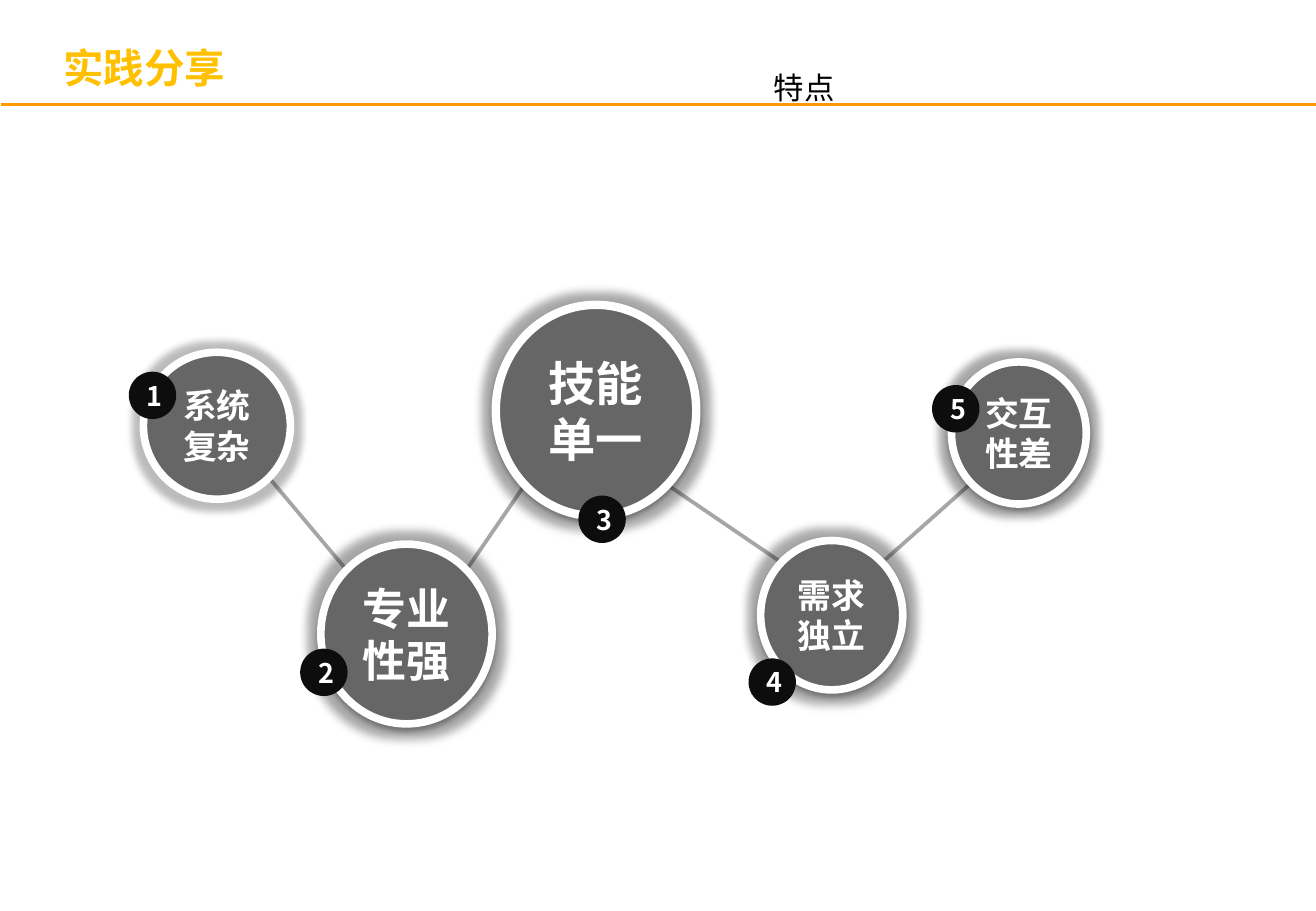
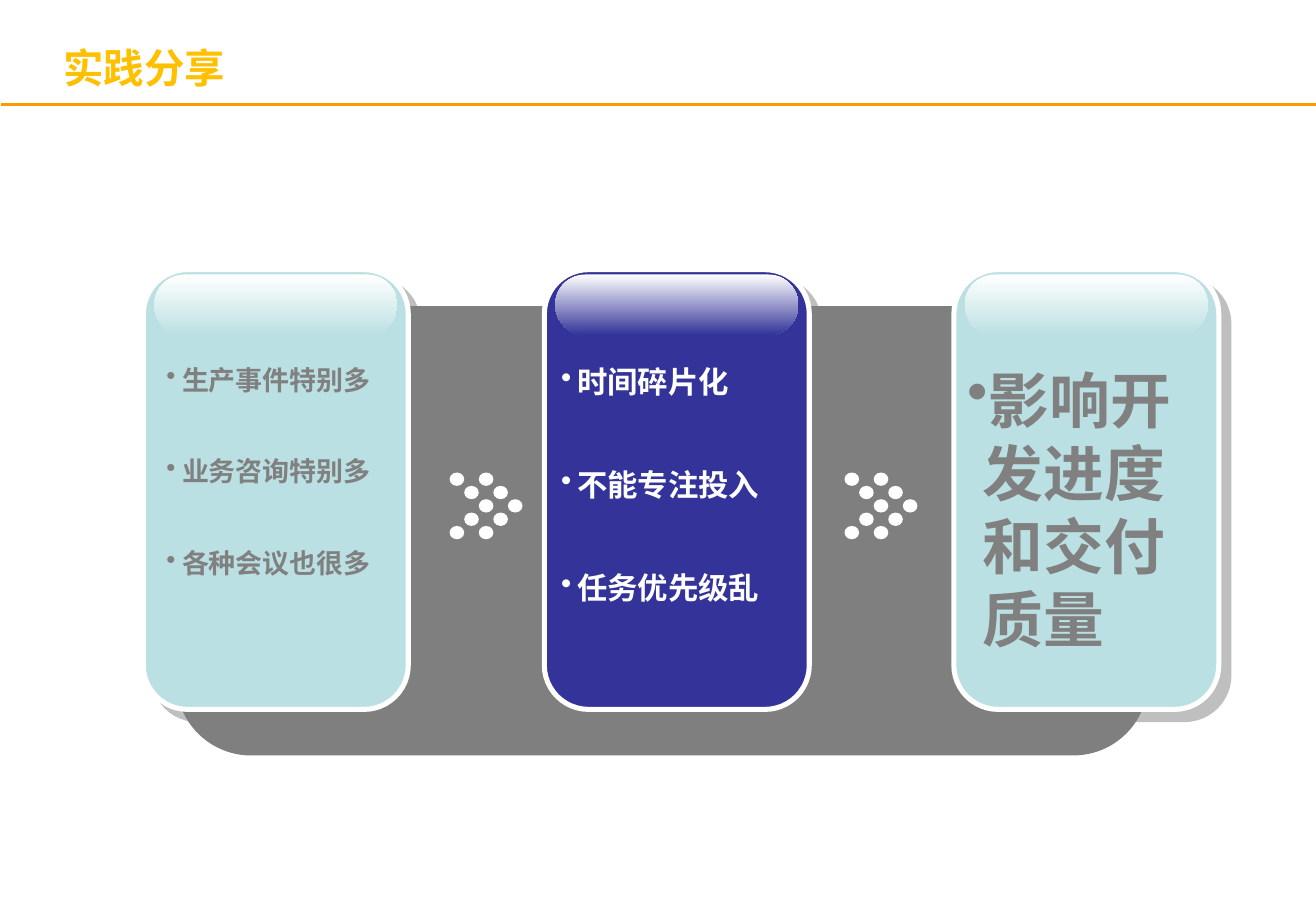
from pptx import Presentation
from pptx.dml.color import RGBColor
from pptx.enum.shapes import MSO_CONNECTOR, MSO_SHAPE
from pptx.enum.text import MSO_ANCHOR, MSO_AUTO_SIZE, PP_ALIGN
from pptx.oxml.ns import qn
from pptx.util import Emu, Inches, Pt
from lxml import etree

ELLIPSE, ROUNDED = MSO_SHAPE.OVAL, MSO_SHAPE.ROUNDED_RECTANGLE
STRAIGHT = MSO_CONNECTOR.STRAIGHT
CENTER, LEFT = PP_ALIGN.CENTER, PP_ALIGN.LEFT
MIDDLE = MSO_ANCHOR.MIDDLE
FIT_SHAPE, FIT_NONE = MSO_AUTO_SIZE.SHAPE_TO_FIT_TEXT, MSO_AUTO_SIZE.NONE

SLIDE_W, SLIDE_H = 10.83, 7.5
HEADING_FONT, BODY_FONT = "Noto Sans CJK SC", "Arial"
WHITE, BLACK, GREY = "FFFFFF", "000000", "808080"
GOLD, ORANGE = "FFC000", "FF9900"
CIRCLE_GREY, BADGE_BLACK, LINK_GREY = "666666", "0D0D0D", "A6A6A6"
PALE_TEAL, NAVY = "BBE0E3", "333399"
TITLE = "实践分享"

# left, top, width, height, text, size, outline, glow radius, has shadow
CIRCLES = [
    (1.18, 2.9, 1.21, 1.21, "系统复杂", 20, 4.5, 9, False),
    (2.64, 4.48, 1.41, 1.48, "专业性强", 26, 4.5, 11, True),
    (4.08, 2.51, 1.65, 1.74, "技能单一", 28, 5, 11, True),
    (6.26, 4.45, 1.17, 1.23, "需求独立", 20, 4.5, 11, True),
    (7.83, 2.98, 1.11, 1.17, "交互性差", 20, 4.5, 10, True),
]
BADGE_SIZE = 0.39
BADGES = [(1.06, 3.06), (2.47, 5.34), (4.76, 4.08), (6.16, 5.42), (7.67, 3.17)]
LINKS = [
    (6.43, 4.63, 5.49, 3.99),
    (2.22, 3.94, 2.85, 4.69),
    (3.84, 4.69, 4.32, 3.99),
    (7.26, 4.63, 7.99, 3.98),
]

CARD_TOP, CARD_W, CARD_H = 2.22, 2.18, 3.62
# left, fill, text inset, text colour, size, bullets
CARDS = [
    (1.18, PALE_TEAL, 0.09, GREY, 16,
     ["生产事件特别多", "业务咨询特别多", "各种会议也很多"]),
    (4.48, NAVY, 0.04, WHITE, 18,
     ["时间碎片化", "不能专注投入", "任务优先级乱"]),
    (7.85, PALE_TEAL, 0.01, GREY, 36, ["影响开发进度和交付质量"]),
]
CHEVRON_LEFTS, CHEVRON_TOP = (3.7, 6.95), 3.89


def rgb(color):
    return RGBColor.from_string(color)


def box(left, top, width, height):
    return [Inches(value) for value in (left, top, width, height)]


def set_font(font, name, size, color, bold=True):
    font.name, font.size, font.bold = name, Pt(size), bold
    font.color.rgb = rgb(color)


def add_alpha(color_element, percent):
    etree.SubElement(color_element, qn("a:alpha"), val=str(percent * 1000))


def add_effect(shape, tag, color, percent, **settings):
    effects = shape.element.spPr.find(qn("a:effectLst"))
    effect = etree.SubElement(effects, qn(tag),
                              {key: str(value) for key, value in settings.items()})
    add_alpha(etree.SubElement(effect, qn("a:srgbClr"), val=color), percent)


def add_filled(shapes, preset, place, color, outline=None):
    """Add a preset shape with a plain fill and an optional white outline."""
    shape = shapes.add_shape(preset, *box(*place))
    shape.shadow.inherit = False
    shape.fill.solid()
    shape.fill.fore_color.rgb = rgb(color)
    if outline:
        shape.line.color.rgb = rgb(WHITE)
        shape.line.width = Pt(outline)
    else:
        shape.line.fill.background()
    return shape


def add_line(slide, ends, color, width):
    line = slide.shapes.add_connector(STRAIGHT, *box(*ends))
    line.line.color.rgb = rgb(color)
    line.line.width = Pt(width)
    etree.SubElement(line.element.spPr, qn("a:effectLst"))
    return line


def set_label(shape, text, size):
    frame = shape.text_frame
    frame.word_wrap = True
    frame.vertical_anchor = MIDDLE
    label = frame.paragraphs[0]
    label.text = text
    label.alignment = CENTER
    set_font(label.font, HEADING_FONT, size, WHITE)


def add_titled_slide(prs, layout):
    slide = prs.slides.add_slide(layout)
    title = slide.shapes.title
    title.left, title.top, title.width, title.height = box(0.42, 0.25, 9.22, 0.61)
    frame = title.text_frame
    frame.text = TITLE
    frame.auto_size = FIT_NONE
    frame.vertical_anchor = MIDDLE
    frame.paragraphs[0].alignment = LEFT
    set_font(frame.paragraphs[0].font, HEADING_FONT, 24, GOLD)
    return slide


def add_circle(slide, place, text, size, outline, glow, shadowed):
    circle = add_filled(slide.shapes, ELLIPSE, place, CIRCLE_GREY, outline)
    add_effect(circle, "a:glow", BLACK, 27, rad=Pt(glow))
    if shadowed:
        add_effect(circle, "a:outerShdw", BLACK, 38, blurRad=Pt(3.1),
                   dist=Pt(1.6), dir=90 * 60000, rotWithShape=0)
    set_label(circle, text, size)


def add_badge(slide, left, top, number):
    badge = add_filled(slide.shapes, ELLIPSE, (left, top, BADGE_SIZE, BADGE_SIZE),
                       BADGE_BLACK)
    set_label(badge, str(number), 16)
    frame = badge.text_frame
    frame.margin_left, frame.margin_right = Inches(0.04), Emu(0)
    frame.margin_top = frame.margin_bottom = Emu(0)


def build_features(slide):
    caption = slide.shapes.add_textbox(*box(6.27, 0.52, 0.76, 0.4)).text_frame
    caption.word_wrap = False
    caption.auto_size = FIT_SHAPE
    caption.text = "特点"
    set_font(caption.paragraphs[0].font, BODY_FONT, 18, BLACK, bold=False)
    for ends in LINKS:
        add_line(slide, ends, LINK_GREY, 2.25)
    for *place, text, size, outline, glow, shadowed in CIRCLES:
        add_circle(slide, place, text, size, outline, glow, shadowed)
    for number, (left, top) in enumerate(BADGES, start=1):
        add_badge(slide, left, top, number)


def add_card(slide, left, top, color):
    shapes = slide.shapes.add_group_shape().shapes
    card = add_filled(shapes, ROUNDED, (left, top, CARD_W, CARD_H), color, 3)
    add_effect(card, "a:outerShdw", GREY, 50, dist=Pt(8.5), dir=45 * 60000,
               algn="ctr", rotWithShape=0)
    gloss = add_filled(shapes, ROUNDED, (left + 0.09, top + 0.04, 2, 0.5), color)
    gloss.adjustments[0] = 0.5
    gloss.fill.gradient()
    gloss.fill.gradient_angle = 270
    for stop, position, shade in zip(gloss.fill.gradient_stops, (0, 1), (WHITE, color)):
        stop.position = position
        stop.color.rgb = rgb(shade)


def add_bullets(slide, left, top, height, color, size, items):
    frame = slide.shapes.add_textbox(*box(left, top, 2.08, height)).text_frame
    frame.word_wrap = True
    for index, item in enumerate(items):
        paragraph = frame.add_paragraph() if index else frame.paragraphs[0]
        paragraph.text = item
        properties = paragraph._p.get_or_add_pPr()
        properties.set("marL", str(Inches(0.13)))
        properties.set("indent", str(-Inches(0.13)))
        etree.SubElement(properties, qn("a:buChar"), char="•")
        if index:
            paragraph.space_before = Pt(size * 2.2)
        set_font(paragraph.font, BODY_FONT, size, color)


def add_chevron(slide, left, top):
    """Draw two dotted arrowheads pointing right."""
    shapes = slide.shapes.add_group_shape().shapes
    for column in (2, 0):
        for row in range(5):
            step = column + 2 - abs(row - 2)
            place = (left + step * 0.12, top + row * 0.11, 0.12, 0.11)
            add_filled(shapes, ELLIPSE, place, WHITE)


def build_impact(slide):
    panel = add_filled(slide.shapes, ROUNDED, (1.45, 2.52, 8, 3.7), BLACK)
    add_alpha(panel.element.spPr.find(".//" + qn("a:srgbClr")), 50)
    for left, color, *_ in CARDS:
        add_card(slide, left, CARD_TOP, color)
    for left, _, inset, color, size, items in CARDS:
        add_bullets(slide, left + inset, CARD_TOP + 0.72, 2.5, color, size, items)
    for left in CHEVRON_LEFTS:
        add_chevron(slide, left, CHEVRON_TOP)


def main():
    prs = Presentation()
    prs.slide_width, prs.slide_height = Inches(SLIDE_W), Inches(SLIDE_H)
    layout = prs.slide_layouts[5]
    features = add_titled_slide(prs, layout)
    rule = add_line(features, (0.01, 0.86, 10.84, 0.86), ORANGE, 2)
    layout.shapes.element.append(rule.element)
    build_features(features)
    build_impact(add_titled_slide(prs, layout))
    prs.save("out.pptx")


if __name__ == "__main__":
    main()
